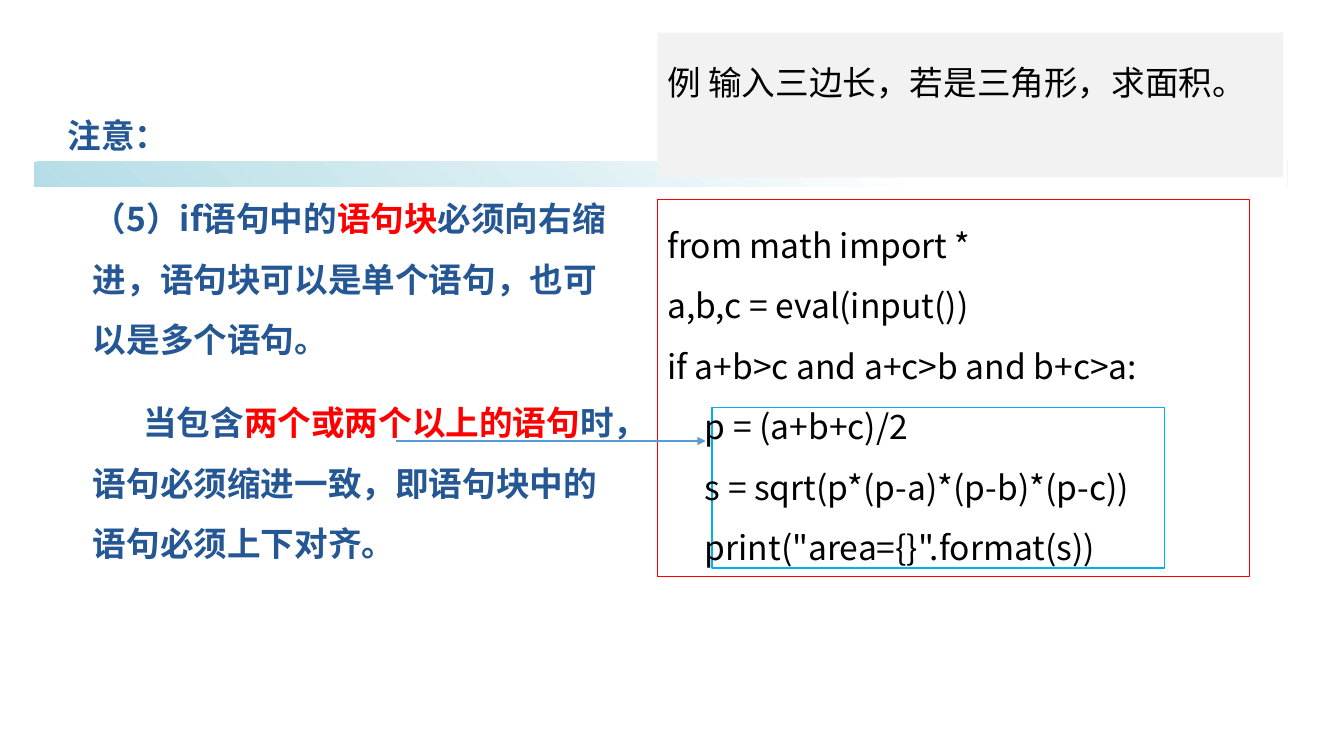
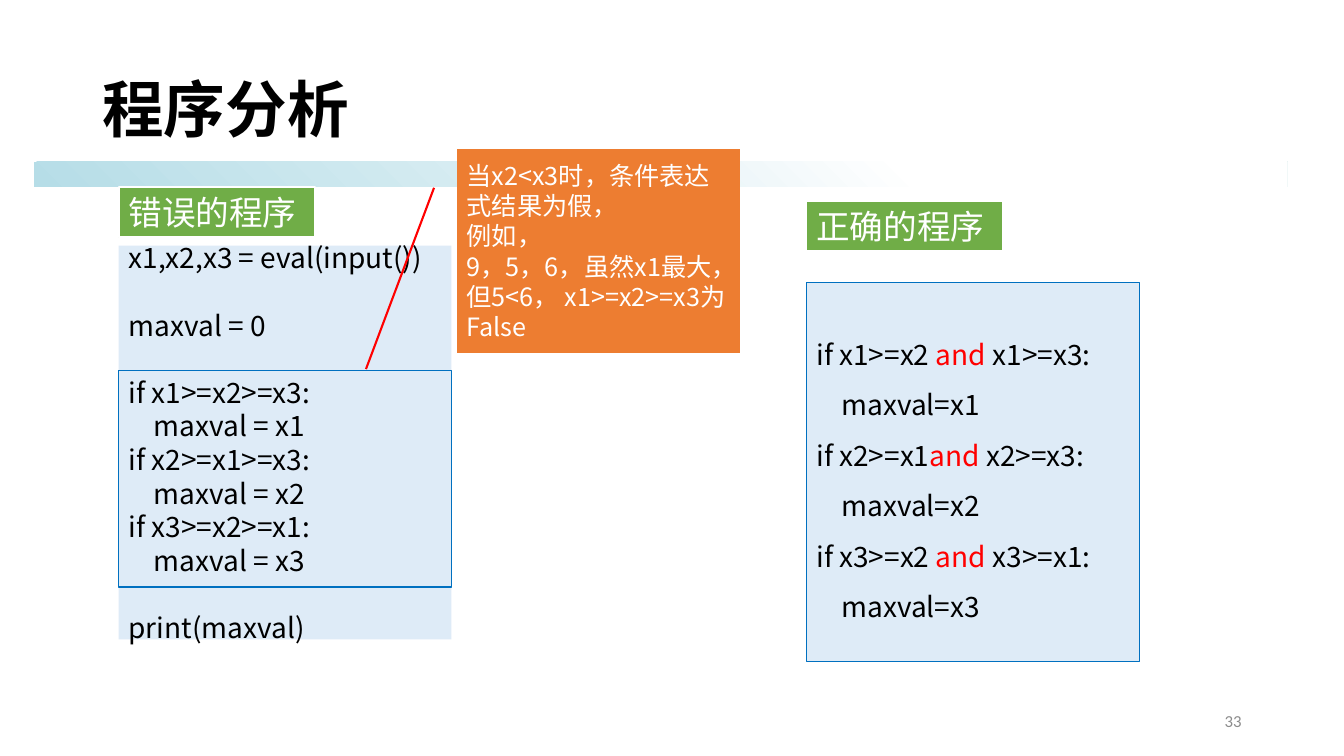
from dataclasses import dataclass

from pptx import Presentation
from pptx.dml.color import RGBColor
from pptx.enum.shapes import MSO_CONNECTOR, MSO_SHAPE
from pptx.enum.text import MSO_ANCHOR, MSO_AUTO_SIZE, PP_ALIGN
from pptx.oxml import parse_xml
from pptx.oxml.ns import nsdecls, qn
from pptx.util import Emu, Pt

RECTANGLE = MSO_SHAPE.RECTANGLE
CALLOUT = MSO_SHAPE.LINE_CALLOUT_1_NO_BORDER
STRAIGHT = MSO_CONNECTOR.STRAIGHT
TOP, MIDDLE = MSO_ANCHOR.TOP, MSO_ANCHOR.MIDDLE
LEFT, RIGHT = PP_ALIGN.LEFT, PP_ALIGN.RIGHT
FIXED, GROW = MSO_AUTO_SIZE.NONE, MSO_AUTO_SIZE.SHAPE_TO_FIT_TEXT
PX = 9525  # EMU per px, on a slide of 1280 by 720 px


@dataclass(frozen=True)
class Theme:
    font: str = "Noto Sans CJK SC"
    number_font: str = "Calibri"
    title_size: int = 44
    body_size: int = 24
    code_size: int = 20
    note_size: int = 18
    number_size: int = 12
    black: str = "000000"
    white: str = "FFFFFF"
    navy: str = "245794"
    red: str = "FF0000"
    gray: str = "8C8C8C"
    pale_gray: str = "F2F2F2"
    pale_blue: str = "DEEBF7"
    sky: str = "00B0F0"
    blue: str = "0070C0"
    arrow: str = "5B9BD5"
    green: str = "70AD47"
    orange: str = "ED7D31"
    band: tuple = ((0, "B6DDE7"), (40, "DAEEF3"), (70, "FFFFFF"), (100, "FFFFFF"))


THEME = Theme()


def add_box(slide, frame, fill=None, line=None, width=1, kind=RECTANGLE):
    shape = slide.shapes.add_shape(kind, *(Emu(value * PX) for value in frame))
    shape.shadow.inherit = False
    if fill:
        shape.fill.solid()
        shape.fill.fore_color.rgb = RGBColor.from_string(fill)
    else:
        shape.fill.background()
    if line:
        shape.line.color.rgb = RGBColor.from_string(line)
        shape.line.width = Pt(width)
    else:
        shape.line.fill.background()
    return shape


def write_text(shape, lines, size=THEME.body_size, color=THEME.black, font=THEME.font,
               bold=False, align=LEFT, anchor=TOP, spacing=1.0, before=0, after=0,
               auto_size=FIXED):
    """Write one paragraph per line; text between bars is red."""
    frame = shape.text_frame
    frame.word_wrap = True
    frame.auto_size = auto_size
    frame.vertical_anchor = anchor
    for index, line in enumerate(lines):
        paragraph = frame.add_paragraph() if index else frame.paragraphs[0]
        paragraph.alignment = align
        paragraph.line_spacing = spacing
        paragraph.space_before = Pt(before if index else 0)
        paragraph.space_after = Pt(after)
        for part, text in enumerate(line.split("|")):
            if not text:
                continue
            run = paragraph.add_run()
            run.text = text
            run.font.size = Pt(size)
            run.font.bold = bold
            run.font.name = font
            run.font.color.rgb = RGBColor.from_string(THEME.red if part % 2 else color)
            run.font._element.find(qn("a:latin")).addnext(
                parse_xml(f'<a:ea {nsdecls("a")} typeface="{font}"/>'))
    return frame.paragraphs


presentation = Presentation()
presentation.slide_width = Emu(1280 * PX)
presentation.slide_height = Emu(720 * PX)
blank_layout = presentation.slide_layouts[6]

# Both slides start with the fading band
stops = "".join(f'<a:gs pos="{position * 1000}"><a:srgbClr val="{color}"/></a:gs>'
                for position, color in THEME.band)
slides = []
for _ in range(2):
    slide = presentation.slides.add_slide(blank_layout)
    properties = add_box(slide, (32, 154, 1194, 24))._element.spPr
    properties.replace(properties.find(qn("a:noFill")), parse_xml(
        f'<a:gradFill {nsdecls("a")} rotWithShape="1"><a:gsLst>{stops}</a:gsLst>'
        f'<a:lin ang="{315 * 60000}" scaled="1"/></a:gradFill>'))
    slides.append(slide)
indent_slide, analysis_slide = slides

# Slide 1: indentation rules
rules = indent_slide.shapes.add_textbox(*(Emu(v * PX) for v in (55, 86, 541, 519)))
paragraphs = write_text(rules, [
    "注意：",
    "（5）if语句中的|语句块|必须向右缩进，语句块可以是单个语句，也可以是多个语句。",
    "当包含|两个或两个以上的语句|时，语句必须缩进一致，即语句块中的语句必须上下对齐。",
], color=THEME.navy, bold=True, spacing=1.5, before=10, after=6)
for paragraph, first_indent in zip(paragraphs[1:], (0, 48)):
    paragraph_properties = paragraph._p.get_or_add_pPr()
    paragraph_properties.set("marL", str(24 * PX))
    paragraph_properties.set("indent", str(first_indent * PX))

example = add_box(indent_slide, (626, 31, 596, 138), fill=THEME.pale_gray)
write_text(example, ["例 输入三边长，若是三角形，求面积。"], spacing=1.6)

add_box(indent_slide, (678, 388, 431, 153), line=THEME.sky)
triangle_code = add_box(indent_slide, (626, 190, 564, 359), line=THEME.red, width=0.75)
write_text(triangle_code, [
    "from math import *",
    "a,b,c = eval(input())",
    "if a+b>c and a+c>b and b+c>a:",
    "     p = (a+b+c)/2",
    "     s = sqrt(p*(p-a)*(p-b)*(p-c))",
    '     print("area={}".format(s))',
], spacing=1.5, auto_size=GROW)

arrow = indent_slide.shapes.add_connector(
    STRAIGHT, *(Emu(value * PX) for value in (377, 420, 672, 420)))
arrow.line.color.rgb = RGBColor.from_string(THEME.arrow)
arrow.line.width = Pt(1.5)
arrow.line._get_or_add_ln().append(
    parse_xml(f'<a:tailEnd {nsdecls("a")} type="triangle"/>'))
arrow._element.spPr.append(parse_xml(f'<a:effectLst {nsdecls("a")}/>'))

# Slide 2: wrong and right programs
title = analysis_slide.shapes.add_textbox(*(Emu(v * PX) for v in (88, 38, 1104, 139)))
write_text(title, ["程序分析"], size=THEME.title_size, bold=True, anchor=MIDDLE, spacing=0.9)
number = analysis_slide.shapes.add_textbox(*(Emu(v * PX) for v in (904, 667, 288, 38)))
write_text(number, ["33"], size=THEME.number_size, color=THEME.gray,
           font=THEME.number_font, align=RIGHT, anchor=MIDDLE)

right_code = add_box(analysis_slide, (768, 269, 317, 361), fill=THEME.pale_blue,
                     line=THEME.blue, width=0.75)
write_text(right_code, [
    "if x1>=x2 |and| x1>=x3:",
    "    maxval=x1",
    "if x2>=x1|and| x2>=x3:",
    "    maxval=x2",
    "if x3>=x2 |and| x3>=x1:",
    "    maxval=x3",
], size=THEME.code_size, anchor=MIDDLE, spacing=1.5)

wrong_code = add_box(analysis_slide, (113, 234, 317, 375), fill=THEME.pale_blue)
paragraphs = write_text(wrong_code, [
    "x1,x2,x3 = eval(input())",
    "maxval = 0",
    "if x1>=x2>=x3:",
    "    maxval = x1",
    "if x2>=x1>=x3:",
    "    maxval = x2",
    "if x3>=x2>=x1:",
    "    maxval = x3",
    "print(maxval)",
], size=THEME.code_size, anchor=MIDDLE)
for index in (1, 2, 8):
    paragraphs[index].space_before = Pt(24)

for left, top, label in ((768, 191, "正确的程序"), (113, 178, "错误的程序")):
    tag = add_box(analysis_slide, (left, top, 187, 48), fill=THEME.green,
                  line=THEME.white, width=1.5)
    write_text(tag, [label], color=THEME.white, auto_size=GROW)

callout = add_box(analysis_slide, (435, 142, 270, 194), fill=THEME.orange,
                  line=THEME.red, width=1.5, kind=CALLOUT)
for index, value in enumerate((0.19, -0.08, 1.08, -0.32)):
    callout.adjustments[index] = value
write_text(callout, [
    "当x2<x3时，条件表达式结果为假，",
    "例如，",
    "9，5，6，虽然x1最大，但5<6， x1>=x2>=x3为False",
], size=THEME.note_size, color=THEME.white, anchor=MIDDLE)

add_box(analysis_slide, (113, 353, 317, 206), line=THEME.blue)

presentation.save("out.pptx")
